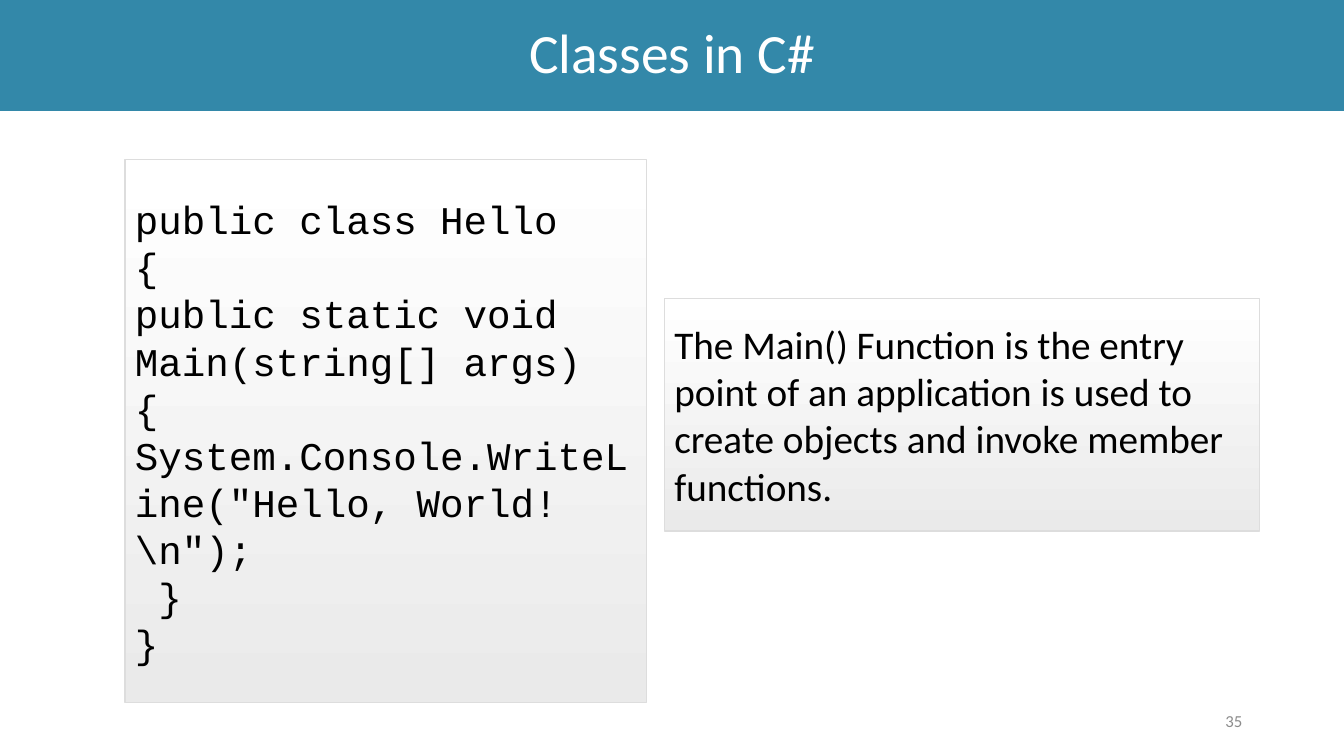
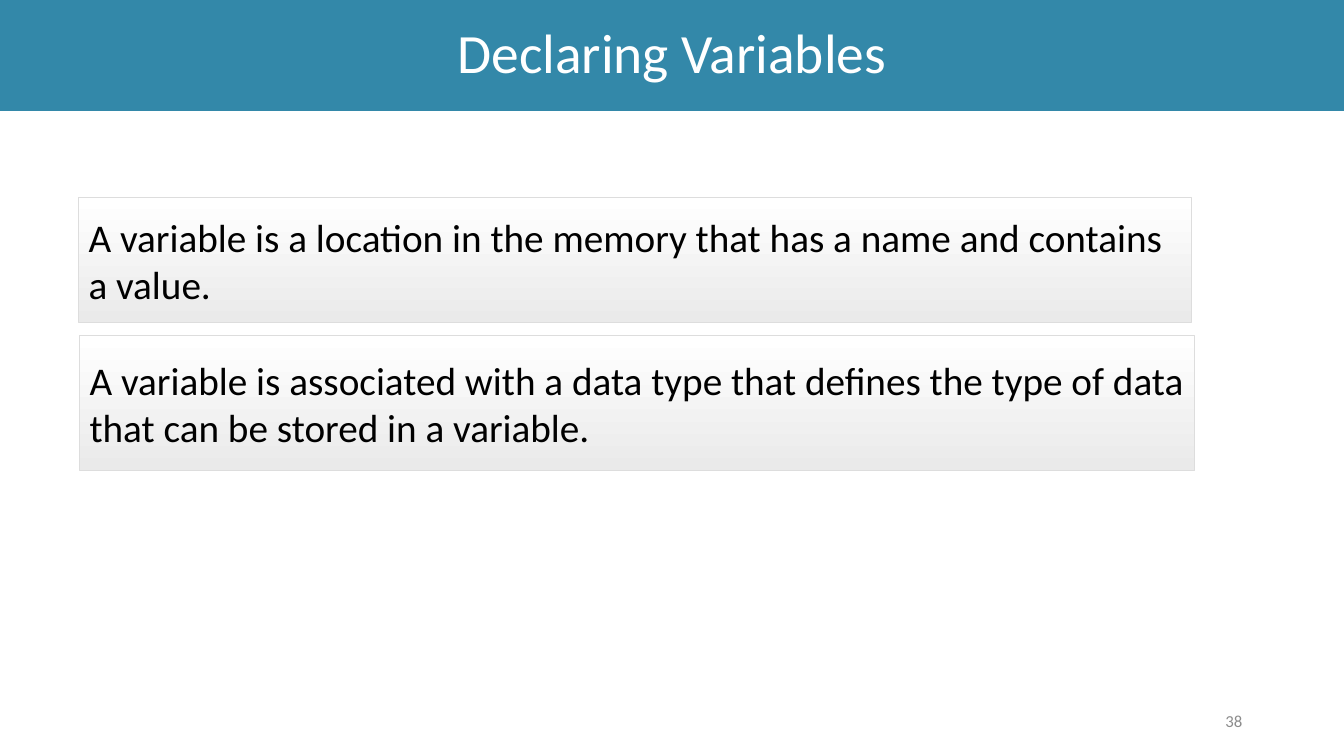
from pptx import Presentation
from pptx.dml.color import RGBColor
from pptx.enum.shapes import MSO_SHAPE
from pptx.enum.text import MSO_ANCHOR, MSO_AUTO_SIZE, PP_ALIGN
from pptx.util import Inches, Pt

COLORS = {
    "band": "3388A9",
    "title": "FFFFFF",
    "panel_top": "FFFFFF",
    "panel_bottom": "EAEAEA",
    "panel_line": "DDDDDD",
    "body": "000000",
    "number": "8C8C8C",
}
BODY_FONT = "Calibri"
CODE_FONT = "Courier New"
SLIDE_WIDTH, SLIDE_HEIGHT = 13.33, 7.5
TITLE_BOX = (0, 0, SLIDE_WIDTH, 1.1)
NUMBER_BOX = (9.42, 6.95, 3, 0.4)

HELLO_CODE = r"""public class Hello
{
public static void Main(string[] args)
{
System.Console.WriteLine("Hello, World! \n");
 }
}"""


def color(name):
    return RGBColor.from_string(COLORS[name])


def format_text(text_frame, size, color_name, alignment, font_name=BODY_FONT):
    text_frame.word_wrap = True
    text_frame.auto_size = MSO_AUTO_SIZE.NONE
    text_frame.vertical_anchor = MSO_ANCHOR.MIDDLE
    for paragraph in text_frame.paragraphs:
        paragraph.alignment = alignment
        for run in paragraph.runs:
            run.font.name = font_name
            run.font.size = Pt(size)
            run.font.color.rgb = color(color_name)


def add_title(slide, text, box):
    title = slide.shapes.title
    title.left, title.top, title.width, title.height = map(Inches, box)
    title.fill.solid()
    title.fill.fore_color.rgb = color("band")
    title.text_frame.text = text
    format_text(title.text_frame, 39.6, "title", PP_ALIGN.CENTER)
    title.text_frame.paragraphs[0].line_spacing = 0.9


def add_number(slide, number, box):
    text_box = slide.shapes.add_textbox(*map(Inches, box))
    text_box.text_frame.text = str(number)
    format_text(text_box.text_frame, 12, "number", PP_ALIGN.RIGHT)


def add_panel(slide, text, box, font_name=BODY_FONT):
    panel = slide.shapes.add_shape(MSO_SHAPE.RECTANGLE, *map(Inches, box))
    panel.shadow.inherit = False
    panel.fill.gradient()
    panel.fill.gradient_angle = 270
    for stop, position, name in zip(
        panel.fill.gradient_stops, (0, 1), ("panel_top", "panel_bottom")
    ):
        stop.position = position
        stop.color.rgb = color(name)
    panel.line.color.rgb = color("panel_line")
    panel.line.width = Pt(1)
    panel.text_frame.text = text
    format_text(panel.text_frame, 28, "body", PP_ALIGN.LEFT, font_name)


def add_base_slide(presentation, title, number):
    slide = presentation.slides.add_slide(presentation.slide_layouts[5])
    add_title(slide, title, TITLE_BOX)
    add_number(slide, number, NUMBER_BOX)
    return slide


def add_classes_slide(presentation):
    slide = add_base_slide(presentation, "Classes in C#", 35)
    add_panel(slide, HELLO_CODE, (1.24, 1.58, 5.17, 5.39), CODE_FONT)
    add_panel(
        slide,
        "The Main() Function is the entry point of an application is used to "
        "create objects and invoke member functions.",
        (6.59, 2.96, 5.9, 2.31),
    )


def add_variables_slide(presentation):
    slide = add_base_slide(presentation, "Declaring Variables", 38)
    add_panel(
        slide,
        "A variable is a location in the memory that has a name and contains a value.",
        (0.78, 1.96, 11.04, 1.24),
    )
    add_panel(
        slide,
        "A variable is associated with a data type that defines the type of data "
        "that can be stored in a variable.",
        (0.79, 3.33, 11.06, 1.34),
    )


def main():
    presentation = Presentation()
    presentation.slide_width = Inches(SLIDE_WIDTH)
    presentation.slide_height = Inches(SLIDE_HEIGHT)
    add_classes_slide(presentation)
    add_variables_slide(presentation)
    presentation.save("out.pptx")


if __name__ == "__main__":
    main()
